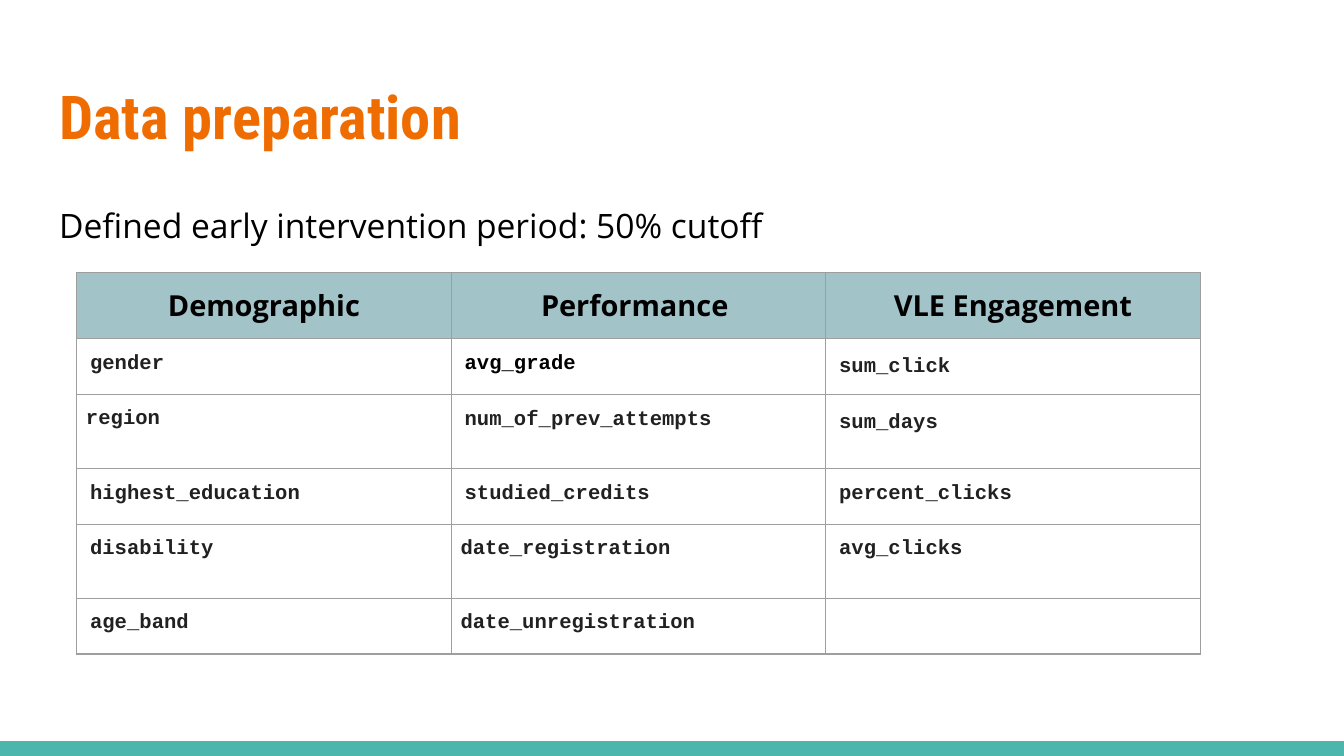
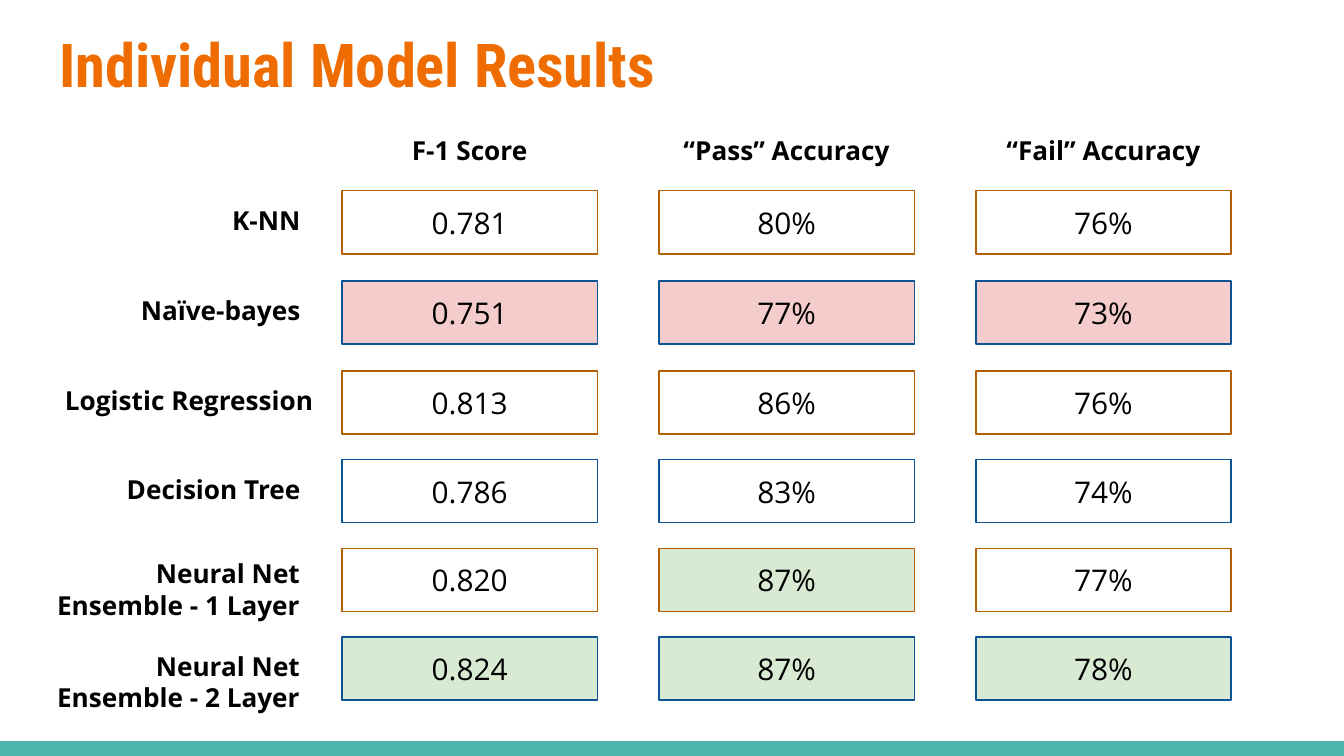
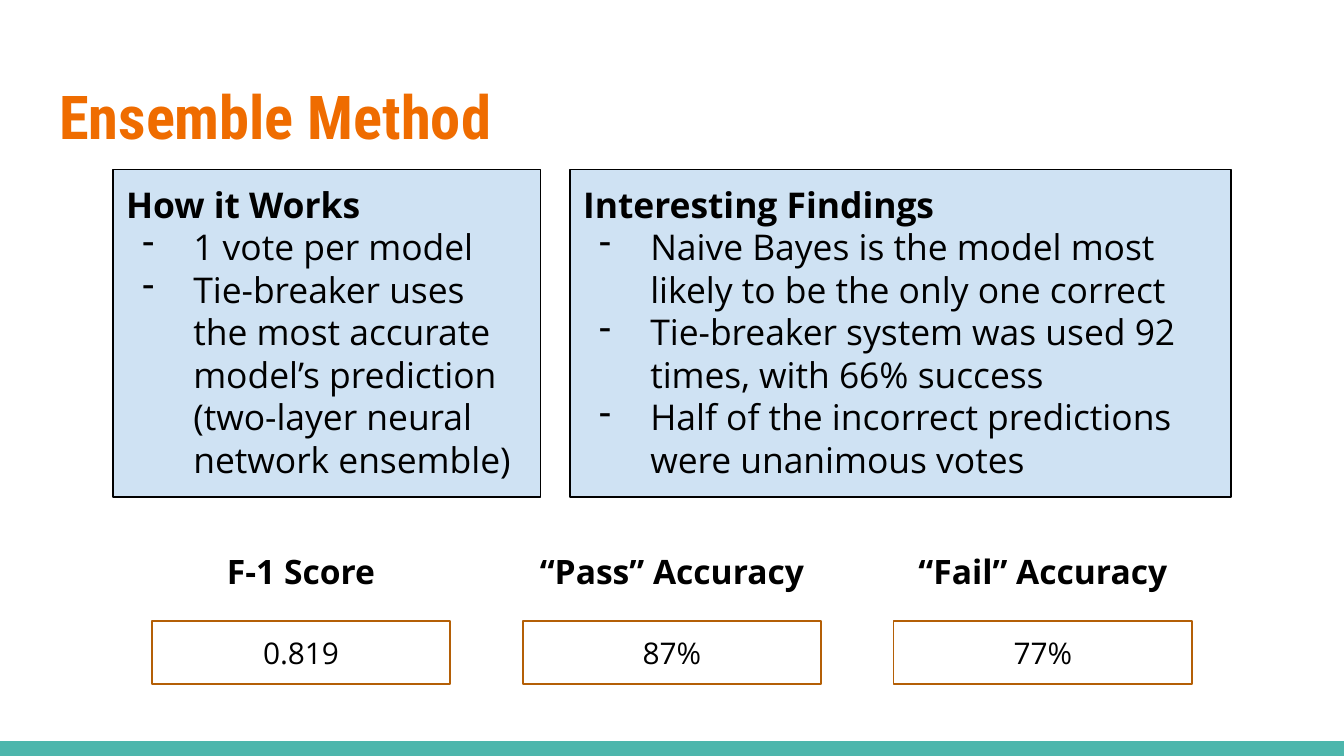
from lxml.etree import SubElement
from pptx import Presentation
from pptx.dml.color import RGBColor
from pptx.enum.shapes import MSO_SHAPE as Shape
from pptx.enum.text import MSO_ANCHOR as Anchor, MSO_AUTO_SIZE as AutoSize, PP_ALIGN as Align
from pptx.oxml.ns import qn
from pptx.util import Inches, Pt

TITLE_ONLY, TITLE_AND_BODY = 5, 1
WIDTH, HEIGHT = 100, 56.25  # columns and rows of a tenth of an inch
BLACK, ORANGE, TEAL, INK = "000000", "EF6C00", "4DB6AC", "212121"
BROWN, NAVY = "B45F06", "0B5394"
RED, GREEN, BLUE = "F4CCCC", "D9EAD3", "CFE2F3"
HEADER_FILL, BORDER = "A2C4C9", "9E9E9E"
MEASURES = ["F-1 Score", "“Pass” Accuracy", "“Fail” Accuracy"]


def grid(*units):
    """Turn columns or rows of the grid into lengths."""
    return [Inches(unit / 10) for unit in units]


def color(value):
    return RGBColor.from_string(value)


def write(frame, text, size=14, font="Open Sans", ink=BLACK, bold=False,
          align=Align.LEFT, spacing=None, after=0, bullet=None):
    """Add one formatted paragraph, using the empty first one if there is one."""
    paragraph = frame.add_paragraph() if frame.text else frame.paragraphs[0]
    paragraph.alignment = align
    paragraph.space_before, paragraph.space_after = Pt(0), Pt(after)
    if spacing:
        paragraph.line_spacing = spacing
    properties = paragraph._p.get_or_add_pPr()
    left, indent = grid(5, -3.8) if bullet else (0, 0)
    properties.set("marL", str(left))
    properties.set("indent", str(indent))
    if bullet:
        bullet_color = SubElement(properties, qn("a:buClr"))
        SubElement(bullet_color, qn("a:srgbClr"), val=ink)
        SubElement(properties, qn("a:buChar"), char=bullet)
    else:
        SubElement(properties, qn("a:buNone"))
    run = paragraph.add_run()
    run.text = text
    run.font.name, run.font.size, run.font.bold = font, Pt(size), bold
    run.font.color.rgb = color(ink)


def add_borders(cell):
    properties = cell._tc.get_or_add_tcPr()
    for index, side in enumerate(("a:lnL", "a:lnR", "a:lnT", "a:lnB")):
        line = properties.makeelement(qn(side), {"w": str(Pt(0.75))})
        fill = SubElement(line, qn("a:solidFill"))
        SubElement(fill, qn("a:srgbClr"), val=BORDER)
        properties.insert(index, line)


class Deck:
    def __init__(self):
        self.presentation = Presentation()
        self.presentation.slide_width, self.presentation.slide_height = grid(WIDTH, HEIGHT)
        self.slide = None

    def add_slide(self, title, layout=TITLE_ONLY, top=4.9, height=7.7):
        is_first = self.slide is None
        self.slide = self.presentation.slides.add_slide(
            self.presentation.slide_layouts[layout])
        if is_first:
            self.add_master_band()
        self.fill_placeholder(0, title, (3.4, top, 93.2, height), size=32.4,
                              font="Roboto Condensed", ink=ORANGE, bold=True)

    def add_master_band(self):
        """Draw the bottom band and move it to the master, behind its placeholders."""
        band = self.add_box((0, HEIGHT - 1.1, WIDTH, 1.1), fill=TEAL)
        band.element.nvSpPr.cNvPr.set("id", "100")
        self.presentation.slide_master.element.cSld.spTree.insert(2, band.element)

    def set_frame(self, shape, anchor, auto_size):
        frame = shape.text_frame
        frame.word_wrap, frame.vertical_anchor, frame.auto_size = True, anchor, auto_size
        frame.margin_left, frame.margin_top, frame.margin_right, frame.margin_bottom = grid(1, 1, 1, 1)
        return frame

    def fill_placeholder(self, index, text, area, **style):
        shape = self.slide.placeholders[index]
        shape.left, shape.top, shape.width, shape.height = grid(*area)
        write(self.set_frame(shape, Anchor.TOP, AutoSize.NONE), text, **style)

    def add_label(self, text, area, **style):
        shape = self.slide.shapes.add_textbox(*grid(*area))
        frame = self.set_frame(shape, Anchor.TOP, AutoSize.SHAPE_TO_FIT_TEXT)
        write(frame, text, bold=True, **style)

    def add_box(self, area, fill=None, line=None):
        shape = self.slide.shapes.add_shape(Shape.RECTANGLE, *grid(*area))
        shape.shadow.inherit = False
        for paint, value in ((shape.fill, fill), (shape.line.fill, line)):
            if value:
                paint.solid()
                paint.fore_color.rgb = color(value)
            else:
                paint.background()
        if line:
            shape.line.width = Pt(0.75)
        return shape

    def add_value(self, text, area, fill=None, line=BROWN):
        shape = self.add_box(area, fill, line)
        frame = self.set_frame(shape, Anchor.MIDDLE, AutoSize.SHAPE_TO_FIT_TEXT)
        write(frame, text, size=16, align=Align.CENTER)

    def add_panel(self, heading, items, area):
        shape = self.add_box(area, BLUE, BLACK)
        frame = self.set_frame(shape, Anchor.TOP, AutoSize.SHAPE_TO_FIT_TEXT)
        write(frame, heading, size=19, bold=True)
        for item in items:
            write(frame, item, size=19, bullet="-")

    def add_table(self, rows, area, row_heights, styles):
        """Add a table with a header row; styles gives exceptions by cell text."""
        shape = self.slide.shapes.add_table(len(rows), len(rows[0]), *grid(*area))
        table = shape.table
        table.first_row = table.horz_banding = False
        for row, height in zip(table.rows, grid(*row_heights)):
            row.height = height
        for row_index, texts in enumerate(rows):
            for column_index, text in enumerate(texts):
                cell = table.cell(row_index, column_index)
                style = dict(size=11, font="Courier New", ink=INK)
                if row_index == 0:
                    style = dict(size=15.5, align=Align.CENTER)
                    cell.fill.solid()
                    cell.fill.fore_color.rgb = color(HEADER_FILL)
                else:
                    cell.fill.background()
                style.update(styles.get(text, {}))
                margin = style.pop("margin", 1)
                cell.margin_left, cell.margin_top, cell.margin_right, cell.margin_bottom = grid(*[margin] * 4)
                if text:
                    write(cell.text_frame, text, bold=True, **style)
                else:
                    paragraph = cell.text_frame.paragraphs[0]
                    paragraph._p.get_or_add_endParaRPr().set("sz", "1100")
                add_borders(cell)


def build_data_preparation(deck):
    deck.add_slide("Data preparation", TITLE_AND_BODY)
    deck.fill_placeholder(1, "Defined early intervention period: 50% cutoff",
                          (3.4, 13.8, 93.2, 36.1), size=18, spacing=1.15)
    features = [
        ("Demographic", "Performance ", "VLE Engagement"),
        ("gender", "avg_grade", "sum_click"),
        ("region", "num_of_prev_attempts", "sum_days"),
        ("highest_education", "studied_credits", "percent_clicks"),
        ("disability", "date_registration", "avg_clicks"),
        ("age_band", "date_unregistration", ""),
    ]
    narrow = dict(margin=0.7, spacing=1.15)
    spaced = dict(spacing=1.15, after=10)
    styles = {
        "avg_grade": dict(ink=BLACK),
        "sum_click": spaced, "sum_days": spaced,
        "region": narrow, "date_registration": narrow, "date_unregistration": narrow,
    }
    deck.add_table(features, (5.7, 20.25, 83.6, 28.3),
                   (4.9, 4.16, 5.5, 4.16, 5.5, 4.16), styles)


def build_model_results(deck):
    deck.add_slide("Individual Model Results", top=1, height=6.1)
    first_left, column_step, width = 25.45, 23.58, 19
    lefts = [first_left + column * column_step for column in range(3)]
    for left, measure in zip(lefts, MEASURES):
        deck.add_label(measure, (left, 9, width, 4.4), align=Align.CENTER)

    short, long, double = (4.35, 19, 4.4), (3.4, 20.9, 4.4), (2.4, 20.9, 6.7)
    models = [
        ("K-NN", 14.2, short, BROWN, ("0.781", "80%", "76%"), (None, None, None)),
        ("Naïve-bayes", 20.9, short, NAVY, ("0.751", "77%", "73%"), (RED, RED, RED)),
        ("Logistic Regression", 27.6, long, BROWN,
         ("0.813", "86%", "76%"), (None, None, None)),
        ("Decision Tree", 34.2, short, NAVY, ("0.786", "83%", "74%"), (None, None, None)),
        ("Neural Net Ensemble - 1 Layer", 40.8, double, BROWN,
         ("0.820", "87%", "77%"), (None, GREEN, None)),
        ("Neural Net Ensemble - 2 Layer", 47.4, double, NAVY,
         ("0.824", "87%", "78%"), (GREEN, GREEN, GREEN)),
    ]
    for model, top, (label_left, label_width, label_height), line, values, fills in models:
        label_top = 40.5 if model.endswith("1 Layer") else top
        deck.add_label(model, (label_left, label_top, label_width, label_height),
                       align=Align.RIGHT)
        for left, value, fill in zip(lefts, values, fills):
            deck.add_value(value, (left, top, width, 4.7), fill, line)


def build_ensemble_method(deck):
    deck.add_slide("Ensemble Method")
    for column, (measure, value) in enumerate(zip(MEASURES, ("0.819", "87%", "77%"))):
        left = 11.3 + column * 27.6
        deck.add_label(measure, (left, 40, 22.2, 5), size=18, align=Align.CENTER)
        deck.add_value(value, (left, 46.2, 22.2, 4.7))
    deck.add_panel("How it Works", [
        "1 vote per model",
        "Tie-breaker uses the most accurate model’s prediction (two-layer neural network ensemble)",
    ], (8.4, 12.6, 31.8, 24.4))
    deck.add_panel("Interesting Findings", [
        "Naive Bayes is the model most likely to be the only one correct",
        "Tie-breaker system was used 92 times, with 66% success",
        "Half of the incorrect predictions were unanimous votes",
    ], (42.4, 12.6, 49.2, 24.4))


def main():
    deck = Deck()
    build_data_preparation(deck)
    build_model_results(deck)
    build_ensemble_method(deck)
    deck.presentation.save("out.pptx")


if __name__ == "__main__":
    main()
